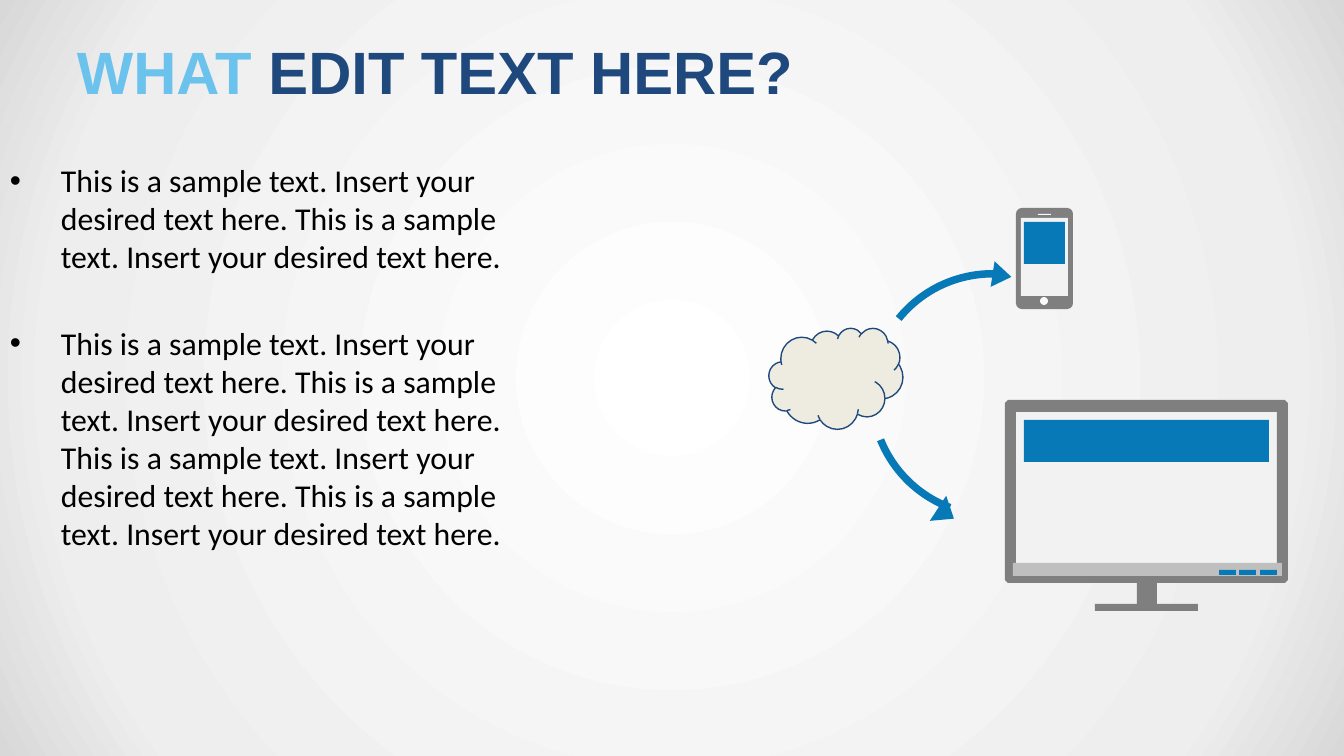
"""Build a slide that shows a cloud linked to a phone and a monitor."""
import pptx
import pptx.dml.color
import pptx.enum.shapes
import pptx.enum.text
import pptx.oxml
import pptx.oxml.ns
import pptx.util

RGB = pptx.dml.color.RGBColor
KIND = pptx.enum.shapes.MSO_SHAPE
ANCHOR = pptx.enum.text.MSO_ANCHOR
SCALE = 9144000 / 1344

SKY = RGB(0x6B, 0xC2, 0xED)
NAVY = RGB(0x1F, 0x49, 0x7D)
BLUE = RGB(0x07, 0x79, 0xB7)
GRAY = RGB(0x7F, 0x7F, 0x7F)
SILVER = RGB(0xBF, 0xBF, 0xBF)
PALE = RGB(0xF2, 0xF2, 0xF2)
CREAM = RGB(0xFB, 0xFA, 0xF8)
SAND = RGB(0xEE, 0xEC, 0xE1)
BLACK = RGB(0, 0, 0)
GLOW = ((0, "FFFFFF"), (81, "EEEEEE"), (100, "D8D8D8"))
SAMPLE = "This is a sample text. Insert your desired text here."


def px(*sizes):
    return [pptx.util.Emu(round(size * SCALE)) for size in sizes]


def write(para, text, font="Calibri", size=17, color=BLACK, bold=False):
    run = para.add_run()
    run.text = text
    run.font.name = font
    run.font.size = pptx.util.Pt(size)
    run.font.color.rgb = color
    run.font.bold = bold


class Page:
    def __init__(self, slide):
        self.slide = slide
        self.shapes = slide.shapes

    def glow(self, stops):
        self.slide.background.fill.solid()
        marks = "".join(
            f'<a:gs pos="{at * 1000}"><a:srgbClr val="{color}"/></a:gs>'
            for at, color in stops
        )
        grad = pptx.oxml.parse_xml(
            f'<a:gradFill {pptx.oxml.ns.nsdecls("a")} rotWithShape="1">'
            f'<a:gsLst>{marks}</a:gsLst><a:path path="circle">'
            '<a:fillToRect l="50000" t="50000" r="50000" b="50000"/>'
            '</a:path></a:gradFill>'
        )
        props = self.slide.background._cSld.bg.bgPr
        props.replace(props[0], grad)

    def paint(self, shape, fill, line=None):
        shape.shadow.inherit = False
        shape.fill.solid()
        shape.fill.fore_color.rgb = fill
        if line is None:
            shape.line.fill.background()
        else:
            shape.line.color.rgb = line
            shape.line.width = pptx.util.Pt(0.75)

    def shape(self, box, fill, kind=KIND.RECTANGLE, line=None, turn=0, adjust=()):
        shape = self.shapes.add_shape(kind, *px(*box))
        shape.rotation = turn
        for i, value in enumerate(adjust):
            shape.adjustments[i] = value
        self.paint(shape, fill, line)

    def outline(self, rings, fill):
        (start, *rest), *holes = rings
        path = self.shapes.build_freeform(*start, scale=SCALE)
        path.add_line_segments(rest, close=True)
        for first, *others in holes:
            path.move_to(*first)
            path.add_line_segments(others, close=True)
        self.paint(path.convert_to_shape(), fill)

    def text(self, box, anchor=ANCHOR.TOP):
        frame = self.shapes.add_textbox(*px(*box)).text_frame
        frame.word_wrap = True
        frame.vertical_anchor = anchor
        frame.margin_left, frame.margin_right = px(10, 10)
        frame.margin_top, frame.margin_bottom = px(5, 5)
        return frame

    def title(self, box, parts):
        para = self.text(box, ANCHOR.MIDDLE).paragraphs[0]
        for text, color in parts:
            write(para, text, font="Arial", size=32, color=color, bold=True)

    def bullets(self, box, items, indent=51, gap=26):
        frame = self.text(box)
        for i, item in enumerate(items):
            para = frame.add_paragraph() if i else frame.paragraphs[0]
            para.space_before = pptx.util.Pt(gap if i else 0)
            props = para._p.get_or_add_pPr()
            props.set("marL", str(px(indent)[0]))
            props.set("indent", str(px(-indent)[0]))
            for tag in (f'buFont {pptx.oxml.ns.nsdecls("a")} typeface="Arial"',
                        f'buChar {pptx.oxml.ns.nsdecls("a")} char="•"'):
                props.append(pptx.oxml.parse_xml(f"<a:{tag}/>"))
            write(para, item)

    def phone(self):
        self.shape((1016, 208, 57, 101), GRAY, KIND.ROUNDED_RECTANGLE, adjust=[0.1])
        self.shape((1040, 297, 8, 8), CREAM, KIND.OVAL)
        self.shape((1038, 214, 13, 1), CREAM)
        self.shape((1021, 218, 47, 78), PALE)
        self.shape((1024, 222, 41, 42), BLUE)

    def screen(self):
        self.shape((1012, 406, 270, 157), PALE)
        frame = [
            (1008, 400), (1285, 400), (1288, 403), (1288, 580), (1285, 583),
            (1157, 583), (1157, 604), (1198, 604), (1198, 611), (1095, 611),
            (1095, 604), (1137, 604), (1137, 583), (1008, 583), (1005, 580),
            (1005, 403),
        ]
        hole = [(1016, 412), (1016, 571), (1277, 571), (1277, 412)]
        self.outline([frame, hole], GRAY)
        self.shape((1013, 563, 269, 13), SILVER)
        self.shape((1024, 420, 245, 42), BLUE)
        for i in range(3):
            self.shape((1219 + 41 * i // 2, 570, 17, 5), BLUE)

    def arrows(self):
        for arc in ((157.28, 185.7, 0.03), (6.29, 40.04, 0.03)):
            self.shape((868, 270, 249, 249), BLUE, KIND.BLOCK_ARC,
                       turn=208.5, adjust=arc)
        for box, turn in (((931, 504, 30, 19), 123.1), ((989, 266, 26, 19), 98.6)):
            self.shape(box, BLUE, KIND.ISOSCELES_TRIANGLE, turn=turn)


def main():
    deck = pptx.Presentation()
    deck.slide_width, deck.slide_height = px(1344, 756)
    page = Page(deck.slides.add_slide(deck.slide_layouts[6]))
    page.glow(GLOW)
    page.phone()
    page.screen()
    page.arrows()
    page.title((67, 31, 1210, 79), [("WHAT ", SKY), ("EDIT TEXT HERE?", NAVY)])
    page.bullets((0, 156, 538, 516), [" ".join([SAMPLE] * n) for n in (2, 4)])
    page.shape((769, 328, 134, 101), SAND, KIND.CLOUD, line=NAVY)
    deck.save("out.pptx")


if __name__ == "__main__":
    main()
